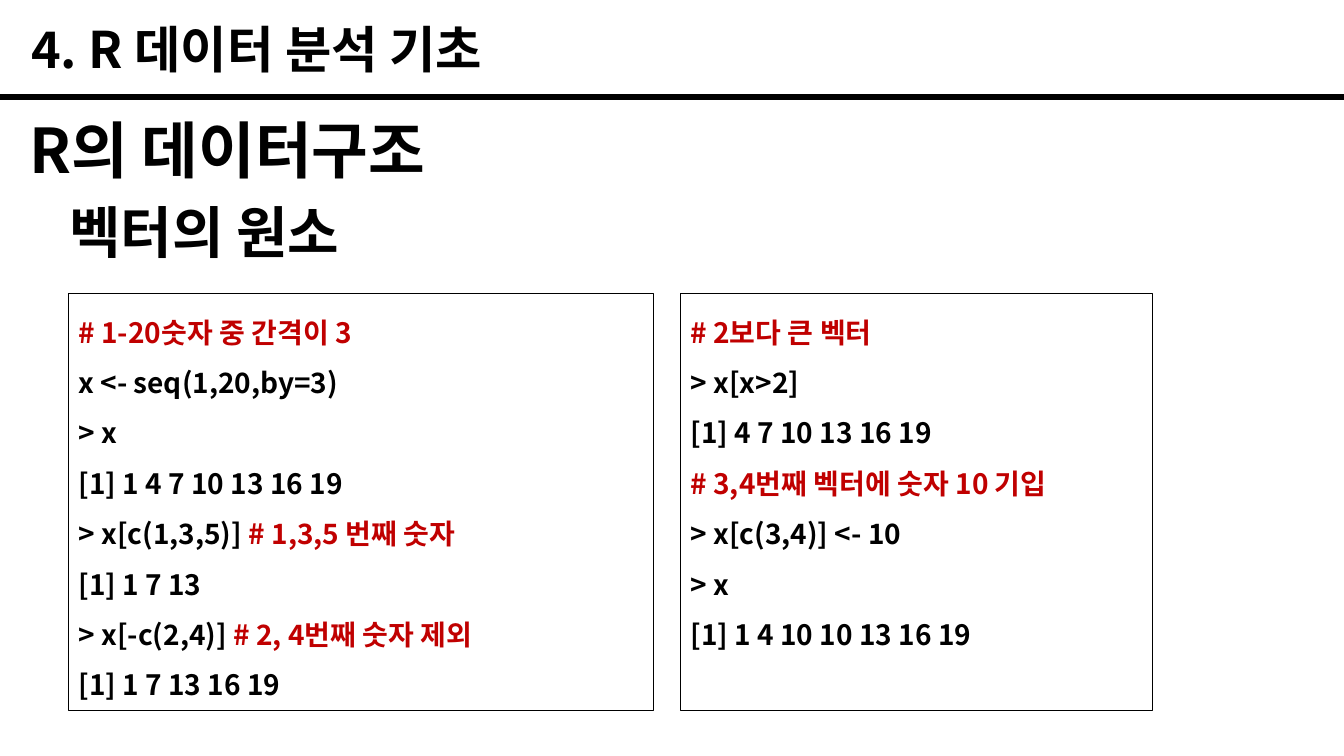
import pptx
import pptx.dml.color
import pptx.enum.shapes
import pptx.enum.text
import pptx.oxml
import pptx.oxml.ns
import pptx.util

BLACK = pptx.dml.color.RGBColor(0x00, 0x00, 0x00)
RED = pptx.dml.color.RGBColor(0xC0, 0x00, 0x00)
FONT = "Noto Sans CJK KR"
EMU_PER_PX = 9144
SLIDE_WIDTH, SLIDE_HEIGHT = 1333, 750
PANEL_TOP, PANEL_HEIGHT = 291, 414

HEADINGS = [
    ("4. R 데이터 분석 기초", (21, 13, 856, 71), 36, True),
    ("R의 데이터구조", (19, 106, 824, 84), 44, True),
    ("벡터의 원소", (59, 191, 296, 77), 40, False),
]

PANELS = [
    (68, 580, [
        "# 1-20숫자 중 간격이 3",
        "x <- seq(1,20,by=3)",
        "> x",
        "[1] 1 4 7 10 13 16 19",
        "> x[c(1,3,5)] # 1,3,5 번째 숫자",
        "[1] 1 7 13",
        "> x[-c(2,4)] # 2, 4번째 숫자 제외",
        "[1] 1 7 13 16 19",
    ]),
    (675, 468, [
        "# 2보다 큰 벡터",
        "> x[x>2]",
        "[1] 4 7 10 13 16 19",
        "# 3,4번째 벡터에 숫자 10 기입",
        "> x[c(3,4)] <- 10",
        "> x",
        "[1] 1 4 10 10 13 16 19",
    ]),
]


def px(length):
    """Turn a length in px into EMU."""
    return pptx.util.Emu(length * EMU_PER_PX)


def apply(target, values):
    """Set each named attribute of the target."""
    for name, value in values.items():
        setattr(target, name, value)


class SlideWriter:
    """Holds the text style and the current slide."""

    def __init__(self, slide):
        """Keep the slide and the shared formats."""
        self.slide = slide
        self.font_format = {"name": FONT, "bold": True}
        self.code_format = {
            "alignment": pptx.enum.text.PP_ALIGN.JUSTIFY,
            "line_spacing": 1.5,
        }

    def run(self, paragraph, text, size, color):
        """Add one styled run to the paragraph."""
        run = paragraph.add_run()
        run.text = text
        apply(run.font, {**self.font_format, "size": pptx.util.Pt(size)})
        run.font.color.rgb = color
        east_asian = pptx.oxml.parse_xml(
            f'<a:ea {pptx.oxml.ns.nsdecls("a")} typeface="{FONT}"/>')
        run.font._element.append(east_asian)

    def heading(self, text, box, size, wrap):
        """Add a heading in a text box."""
        shape = self.slide.shapes.add_textbox(*map(px, box))
        apply(shape.text_frame, {
            "word_wrap": wrap,
            "auto_size": pptx.enum.text.MSO_AUTO_SIZE.SHAPE_TO_FIT_TEXT,
        })
        self.run(shape.text_frame.paragraphs[0], text, size, BLACK)

    def rule(self, y, weight):
        """Add a line across the slide."""
        connector = self.slide.shapes.add_connector(
            pptx.enum.shapes.MSO_CONNECTOR.STRAIGHT,
            px(0), px(y), px(SLIDE_WIDTH), px(y))
        connector.line.width = pptx.util.Pt(weight)
        connector.line.color.rgb = BLACK
        connector._element.spPr.append(pptx.oxml.parse_xml(
            f'<a:effectLst {pptx.oxml.ns.nsdecls("a")}/>'))

    def code_panel(self, left, width, lines):
        """Add a framed listing with its comments in red."""
        shape = self.slide.shapes.add_shape(
            pptx.enum.shapes.MSO_SHAPE.RECTANGLE,
            px(left), px(PANEL_TOP), px(width), px(PANEL_HEIGHT))
        shape.shadow.inherit = False
        shape.fill.background()
        shape.line.width = pptx.util.Pt(0.75)
        shape.line.color.rgb = BLACK
        frame = shape.text_frame
        apply(frame, {
            "word_wrap": True,
            "vertical_anchor": pptx.enum.text.MSO_ANCHOR.TOP,
        })
        for index, line in enumerate(lines):
            paragraph = frame.add_paragraph() if index else frame.paragraphs[0]
            apply(paragraph, self.code_format)
            code, mark, comment = line.partition("#")
            for text, color in ((code, BLACK), (mark + comment, RED)):
                if text:
                    self.run(paragraph, text, 20, color)


def main():
    """Build and save the slide."""
    presentation = pptx.Presentation()
    apply(presentation, {"slide_width": px(SLIDE_WIDTH),
                         "slide_height": px(SLIDE_HEIGHT)})
    writer = SlideWriter(
        presentation.slides.add_slide(presentation.slide_layouts[6]))
    writer.rule(96, 4.5)
    for heading in HEADINGS:
        writer.heading(*heading)
    for panel in PANELS:
        writer.code_panel(*panel)
    presentation.save("out.pptx")


if __name__ == "__main__":
    main()
